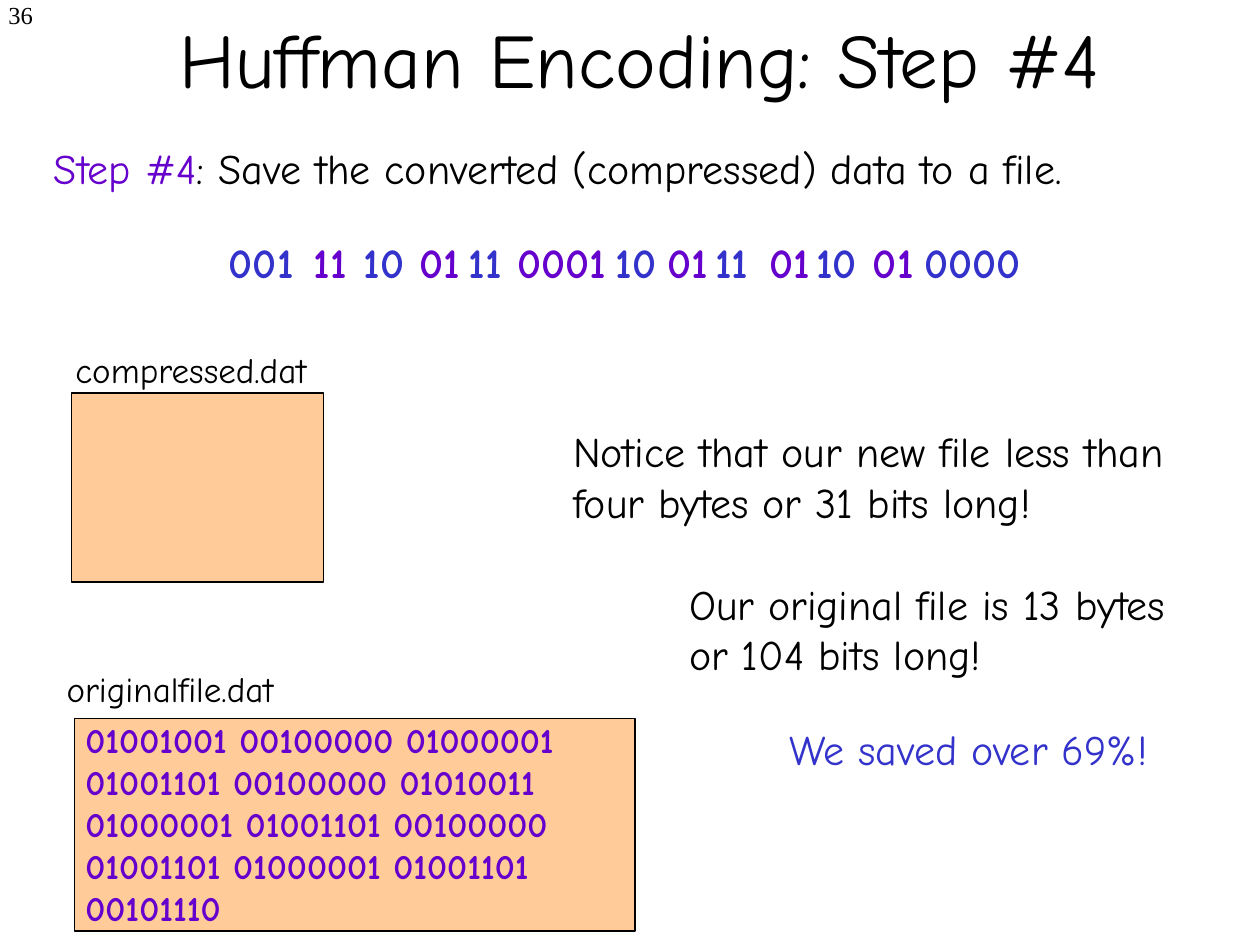
import pptx
import pptx.util
import pptx.dml.color
import pptx.enum.shapes
import pptx.enum.text

Inches = pptx.util.Inches
RGBColor = pptx.dml.color.RGBColor
ALIGN = pptx.enum.text.PP_ALIGN
ANCHOR = pptx.enum.text.MSO_ANCHOR

BLACK = RGBColor(0x00, 0x00, 0x00)
PURPLE = RGBColor(0x66, 0x00, 0xCC)
BLUE = RGBColor(0x33, 0x33, 0xCC)
PEACH = RGBColor(0xFF, 0xCC, 0x99)

# Code of each letter and its offset from the left of the row
CODES = [(" 001", 0), ("11", 0.79), ("10", 1.19), ("01", 1.63), ("11", 2.02),
         ("0001", 2.41), ("10", 3.19), ("01", 3.6), ("11", 3.98),
         ("01", 4.41), ("10", 4.78), ("01", 5.23), ("0000", 5.64)]
BLUE_CODES = {0, 2, 4, 6, 8, 10, 12}
ORIGINAL_BYTES = [
    "01001001 00100000 01000001 \n01001101 00100000 01010011 \n"
    "01000001 01001101 00100000",
    "01001101 01000001 01001101",
    "00101110",
]


def write(tf, paragraphs, size=24, color=BLACK, bold=False,
          font="Comic Neue", align=ALIGN.LEFT):
    """Fill tf; a paragraph is a string or a list of (text, color) runs."""
    tf.word_wrap = True
    for i, runs in enumerate(paragraphs):
        p = tf.paragraphs[0] if i == 0 else tf.add_paragraph()
        p.alignment = align
        if isinstance(runs, str):
            runs = [(runs, color)]
        for text, run_color in runs:
            for j, line in enumerate(text.split("\n")):
                if j:
                    p.add_line_break()
                r = p.add_run()
                r.text = line
                r.font.name = font
                r.font.size = pptx.util.Pt(size)
                r.font.bold = bold
                r.font.color.rgb = run_color


def add_text(s, x, y, w, h, *paragraphs, **style):
    tb = s.shapes.add_textbox(Inches(x), Inches(y), Inches(w), Inches(h))
    write(tb.text_frame, paragraphs, **style)
    return tb.text_frame


def add_title(s, x, y, w, h):
    title = s.shapes.title
    title.left, title.top = Inches(x), Inches(y)
    title.width, title.height = Inches(w), Inches(h)
    title.text_frame.vertical_anchor = ANCHOR.MIDDLE
    write(title.text_frame, ["Huffman Encoding: Step #4"], size=44,
          align=ALIGN.CENTER)


def add_page_number(s, x, y, w, h):
    tf = add_text(s, x, y, w, h, "36", size=14, font="Times New Roman",
                  align=ALIGN.RIGHT)
    tf.margin_left = tf.margin_top = 0


def add_codes(s, x, y):
    for i, (code, dx) in enumerate(CODES):
        width = {2: 0.61, 4: 1.01}[len(code)]
        color = BLUE if i in BLUE_CODES else PURPLE
        add_text(s, x + dx, y, width, 0.5, code, color=color, bold=True)


def add_file(s, x, y, w, h, name, label_dx, label_dy):
    """A file box, with its name offset from the box's top left corner."""
    box = s.shapes.add_shape(pptx.enum.shapes.MSO_SHAPE.RECTANGLE,
                             Inches(x), Inches(y), Inches(w), Inches(h))
    box.shadow.inherit = False
    box.fill.solid()
    box.fill.fore_color.rgb = PEACH
    box.line.color.rgb = BLACK
    box.line.width = pptx.util.Pt(0.75)
    add_text(s, x + label_dx, y + label_dy, 2.23, 0.43, name, size=20)


def add_remarks(s, x, y):
    add_text(s, x, y, 5.44, 0.9,
             "Notice that our new file less than\nfour bytes or 31 bits long!")
    add_text(s, x + 0.92, y + 1.21, 3.98, 0.9,
             "Our original file is 13 bytes or 104 bits long!")
    add_text(s, x + 1.72, y + 2.36, 3.8, 0.5, "We saved over 69%!",
             color=BLUE)


def main():
    prs = pptx.Presentation()
    prs.slide_width, prs.slide_height = Inches(10), Inches(7.5)
    s = prs.slides.add_slide(prs.slide_layouts[5])
    add_page_number(s, 0, 0, 0.36, 0.4)
    add_title(s, 0.83, -0.17, 8.5, 1.25)
    add_text(s, 0.33, 1.08, 9.15, 0.5,
             [("Step #4", PURPLE),
              (": Save the converted (compressed) data to a file.", BLACK)])
    add_codes(s, 1.6, 1.83)
    add_file(s, 0.57, 3.12, 2, 1.5, "compressed.dat", -0.07, -0.4)
    add_file(s, 0.59, 5.7, 4.45, 1.69, "originalfile.dat", -0.16, -0.45)
    add_text(s, 0.58, 5.65, 4.64, 1.8, *ORIGINAL_BYTES, size=20,
             color=PURPLE, bold=True)
    add_remarks(s, 4.45, 3.33)
    prs.save("out.pptx")


if __name__ == "__main__":
    main()
